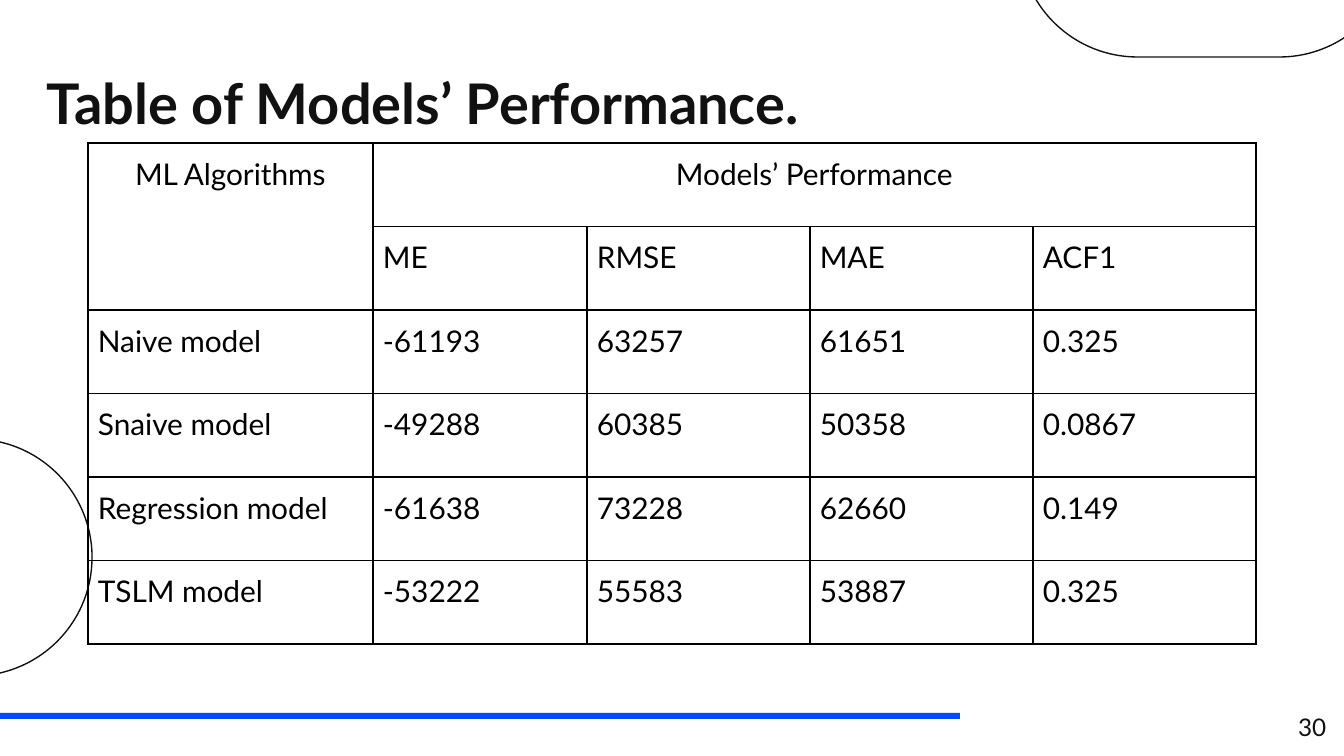
from lxml.etree import SubElement
from pptx import Presentation
from pptx.dml.color import RGBColor
from pptx.enum.shapes import MSO_SHAPE
from pptx.enum.text import MSO_ANCHOR, PP_ALIGN
from pptx.oxml.ns import qn
from pptx.util import Pt

TITLE = "Table of Models’ Performance."
PAGE_NUMBER = "30"
ROWS = [
    ("ML Algorithms", "Models’ Performance", "", "", ""),
    ("", "ME", "RMSE", "MAE", "ACF1"),
    ("Naive model", "-61193", "63257", "61651", "0.325"),
    ("Snaive model", "-49288", "60385", "50358", "0.0867"),
    ("Regression model", "-61638", "73228", "62660", "0.149"),
    ("TSLM model", "-53222", "55583", "53887", "0.325"),
]

COLUMN_WIDTHS = (285, 214, 223, 223, 223)
TABLE_LEFT, TABLE_TOP, TABLE_HEIGHT = 88, 143, 501
PILL_SIZE = (237, 379)
PILL_CORNERS = ((1090, -251), (-216, 368))

FONT = "Lato"
INK = RGBColor(0x11, 0x11, 0x11)
BLACK = RGBColor(0, 0, 0)
BLUE = RGBColor(0x00, 0x4B, 0xFF)


def px(length):
    return round(length * 914400 / 134.4)


def write(frame, text, *, size, color=INK, bold=False, align=PP_ALIGN.LEFT,
          line_spacing=None, space_before=None):
    paragraph = frame.paragraphs[0]
    paragraph.alignment = align
    paragraph.line_spacing = line_spacing
    paragraph.space_before = space_before
    run = paragraph.add_run()
    run.text = text
    run.font.name = FONT
    run.font.size = Pt(size)
    run.font.bold = bold
    run.font.color.rgb = color


def add_text(slide, box, text, *, anchor=MSO_ANCHOR.TOP, **text_format):
    frame = slide.shapes.add_textbox(*map(px, box)).text_frame
    frame.word_wrap = True
    frame.vertical_anchor = anchor
    frame.margin_left = frame.margin_right = px(13)
    frame.margin_top = frame.margin_bottom = px(13)
    write(frame, text, **text_format)


def add_decoration(slide):
    bar = slide.shapes.add_shape(MSO_SHAPE.RECTANGLE, *map(px, (0, 713, 960, 6)))
    bar.shadow.inherit = False
    bar.fill.solid()
    bar.fill.fore_color.rgb = BLUE
    bar.line.fill.background()
    for corner in PILL_CORNERS:
        pill = slide.shapes.add_shape(
            MSO_SHAPE.ROUNDED_RECTANGLE, *map(px, corner + PILL_SIZE))
        pill.adjustments[0] = 0.5
        pill.rotation = 90
        pill.shadow.inherit = False
        pill.fill.background()
        pill.line.color.rgb = INK
        pill.line.width = Pt(0.75)


def style_cell(cell):
    """Clear the fill, set the margins and draw all four borders."""
    cell.margin_left = cell.margin_right = px(10)
    cell.margin_top = cell.margin_bottom = px(13)
    properties = cell._tc.get_or_add_tcPr()
    for side in ("a:lnL", "a:lnR", "a:lnT", "a:lnB"):
        border = SubElement(properties, qn(side), w=str(Pt(0.75)))
        fill = SubElement(border, qn("a:solidFill"))
        SubElement(fill, qn("a:srgbClr"), val=str(BLACK))
    cell.fill.background()


def add_performance_table(slide):
    table = slide.shapes.add_table(
        len(ROWS), len(COLUMN_WIDTHS), px(TABLE_LEFT), px(TABLE_TOP),
        px(sum(COLUMN_WIDTHS)), px(TABLE_HEIGHT)).table
    table.first_row = table.horz_banding = False
    for column, width in zip(table.columns, COLUMN_WIDTHS):
        column.width = px(width)
    for r, values in enumerate(ROWS):
        table.rows[r].height = px(TABLE_HEIGHT / len(ROWS))
        for c, value in enumerate(values):
            cell = table.cell(r, c)
            style_cell(cell)
            if value:
                write(cell.text_frame, value, size=16, color=BLACK,
                      align=PP_ALIGN.JUSTIFY if r else PP_ALIGN.CENTER)
    table.cell(0, 0).merge(table.cell(1, 0))
    table.cell(0, 1).merge(table.cell(0, len(COLUMN_WIDTHS) - 1))


def main():
    deck = Presentation()
    deck.slide_width, deck.slide_height = px(1344), px(756)
    slide = deck.slides.add_slide(deck.slide_layouts[6])
    add_decoration(slide)
    add_text(slide, (34, 22, 1133, 85), TITLE, size=30, bold=True,
             line_spacing=1.5, space_before=Pt(12))
    add_performance_table(slide)
    add_text(slide, (1258, 698, 81, 58), PAGE_NUMBER, size=13,
             align=PP_ALIGN.RIGHT, anchor=MSO_ANCHOR.MIDDLE)
    deck.save("out.pptx")


if __name__ == "__main__":
    main()
